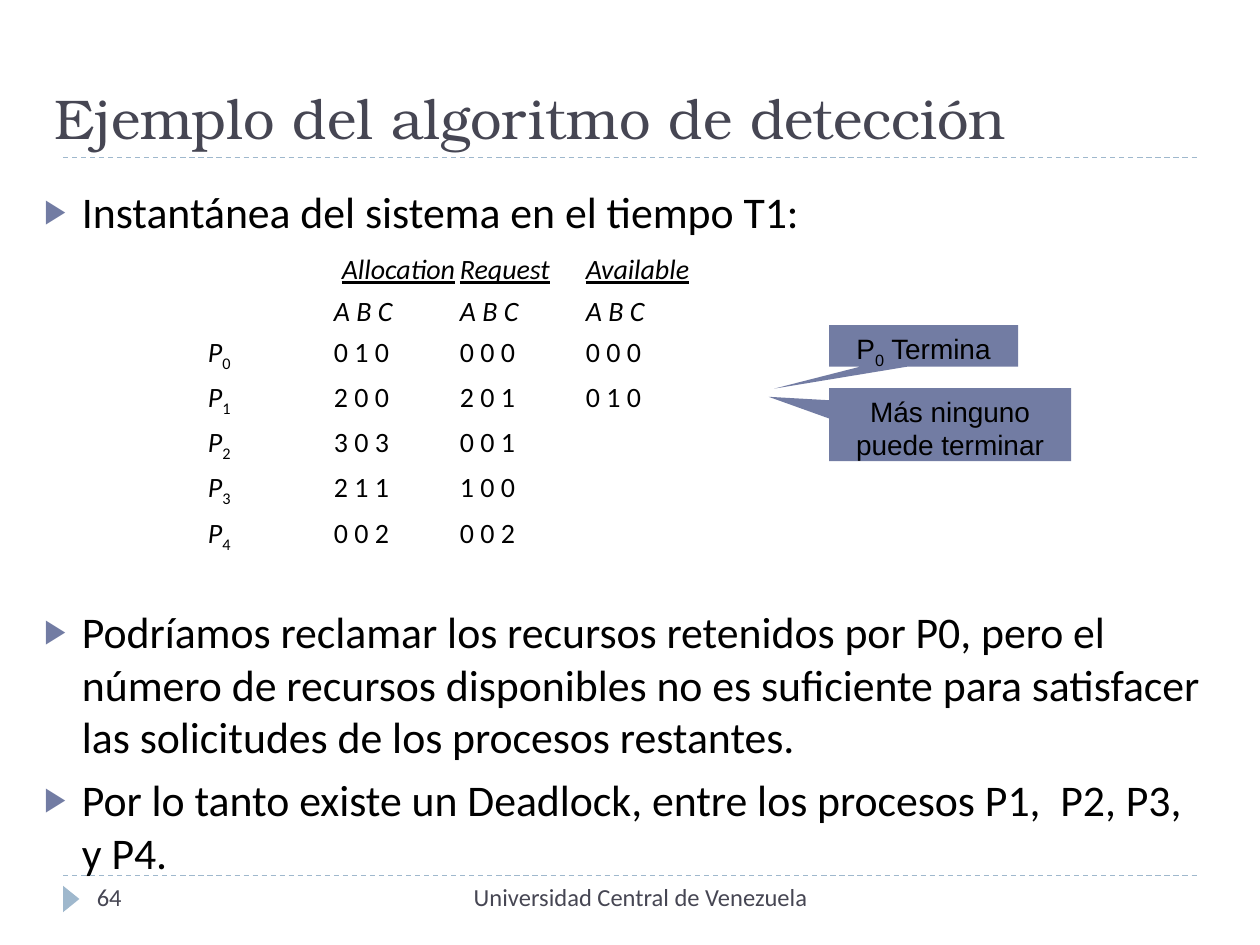
import pptx
import pptx.dml.color
import pptx.enum.dml
import pptx.enum.shapes
import pptx.enum.text
import pptx.oxml.ns
import pptx.util
from lxml import etree

Inches, Pt = pptx.util.Inches, pptx.util.Pt
ALIGN, ANCHOR = pptx.enum.text.PP_ALIGN, pptx.enum.text.MSO_ANCHOR
SHAPE = pptx.enum.shapes.MSO_SHAPE
INK, SLATE, ACCENT, PALE = "000000", "464653", "727CA3", "9FB8CD"

TITLE = "Ejemplo del algoritmo de detección"
INTRO = "Instantánea del sistema en el tiempo T1:"
HEADINGS = ["Allocation", "Request", "Available"]
RESOURCES = "A B C"
PROCESSES = [
    ("0 1 0", "0 0 0", "0 0 0"),
    ("2 0 0", "2 0 1", "0 1 0"),
    ("3 0 3", "0 0 1"),
    ("2 1 1", "1 0 0"),
    ("0 0 2", "0 0 2"),
]
CONCLUSIONS = [
    "Podríamos reclamar los recursos retenidos por P0, pero el número de recursos "
    "disponibles no es suficiente para satisfacer las solicitudes de los procesos restantes.",
    "Por lo tanto existe un Deadlock, entre los procesos P1,  P2, P3, y P4.",
]
SUBSCRIPT = {"baseline": -25}
CALLOUTS = [  # box, pointer, runs
    ((6.58, 2.58, 1.5, 0.33), (-0.79, 1.03),
     [("P", {}), ("0", SUBSCRIPT), (" Termina", {})]),
    ((6.58, 3.08, 1.92, 0.58), (-0.75, -0.38), [("Más ninguno puede terminar", {})]),
]
FOOTER = [  # box, text, alignment
    ((0.67, 6.95, 2.17, 0.4), "64", ALIGN.LEFT),
    ((3.17, 6.95, 3.83, 0.4), "Universidad Central de Venezuela", ALIGN.CENTER),
]
RULES = [1.25, 6.95]
MARGIN = 0.5
INDENT = 0.3
COLUMN = 1


def rgb(value):
    return pptx.dml.color.RGBColor.from_string(value)


def write(paragraph, text, size=16, font="Calibri", color=INK, italic=False,
          underline=False, baseline=0):
    run = paragraph.add_run()
    run.text = text
    run.font.size, run.font.name = Pt(size), font
    run.font.color.rgb = rgb(color)
    run.font.italic, run.font.underline = italic, underline
    if baseline:
        run.font._element.set("baseline", str(baseline * 1000))


def place(shape, box):
    shape.left, shape.top, shape.width, shape.height = map(Inches, box)


def frame(shape, anchor=ANCHOR.TOP):
    """Prepare the shape's text frame and return its first paragraph."""
    text_frame = shape.text_frame
    text_frame.word_wrap = True
    text_frame.auto_size = pptx.enum.text.MSO_AUTO_SIZE.NONE
    text_frame.vertical_anchor = anchor
    return text_frame.paragraphs[0]


def add_property(parent, tag, **attributes):
    child = etree.SubElement(parent, pptx.oxml.ns.qn(tag))
    for name, value in attributes.items():
        child.set(name, str(value))
    return child


def indent(paragraph, first_line):
    properties = paragraph._p.get_or_add_pPr()
    properties.set("marL", str(Inches(INDENT)))
    properties.set("indent", str(Inches(first_line)))
    properties.set("defTabSz", str(Inches(COLUMN)))
    return properties


def bullet(paragraph, text, space):
    properties = indent(paragraph, -INDENT)
    add_property(add_property(properties, "a:buClr"), "a:srgbClr", val=ACCENT)
    add_property(properties, "a:buSzPct", val=76000)
    add_property(properties, "a:buChar", char="▶")
    paragraph.space_before = Pt(space)
    write(paragraph, text, size=25)


def matrix_row(text_frame):
    paragraph = text_frame.add_paragraph()
    add_property(indent(paragraph, 0), "a:buNone")
    paragraph.space_before = Pt(4)
    return paragraph


def set_default_tabs(deck):
    """Space the master's body tabs one matrix column apart."""
    master = deck.slide_master._element
    for level in master.iterfind(".//" + pptx.oxml.ns.qn("p:bodyStyle") + "/*"):
        level.set("defTabSz", str(Inches(COLUMN)))


def add_solid(slide, kind, box, color):
    shape = slide.shapes.add_shape(kind, *map(Inches, box))
    shape.shadow.inherit = False
    shape.fill.solid()
    shape.fill.fore_color.rgb = rgb(color)
    shape.line.fill.background()
    return shape


def add_rule(slide, top):
    rule = slide.shapes.add_connector(
        pptx.enum.shapes.MSO_CONNECTOR.STRAIGHT,
        Inches(MARGIN), Inches(top), Inches(10 - MARGIN), Inches(top))
    rule.line.color.rgb = rgb(PALE)
    rule.line.width = Pt(0.75)
    rule.line.dash_style = pptx.enum.dml.MSO_LINE.DASH
    add_property(rule._element.spPr, "a:effectLst")


def fill_body(body):
    bullet(frame(body), INTRO, 0)
    text_frame = body.text_frame

    headings = matrix_row(text_frame)
    write(headings, "\t\t ", size=20)
    for number, heading in enumerate(HEADINGS):
        if number:
            write(headings, "\t")
        write(headings, heading, italic=True, underline=True)
    write(matrix_row(text_frame), "\t\t" + "\t".join([RESOURCES] * len(HEADINGS)), italic=True)

    for number, vectors in enumerate(PROCESSES):
        process = matrix_row(text_frame)
        write(process, "\t")
        write(process, "P", italic=True)
        write(process, str(number), **SUBSCRIPT)
        write(process, "\t" + "\t".join(vectors))

    for conclusion, space in zip(CONCLUSIONS, (29.5, 6)):
        bullet(text_frame.add_paragraph(), conclusion, space)


def main():
    deck = pptx.Presentation()
    deck.slide_width, deck.slide_height = Inches(10), Inches(7.5)
    set_default_tabs(deck)
    slide = deck.slides.add_slide(deck.slide_layouts[1])

    for top in RULES:
        add_rule(slide, top)
    marker = add_solid(slide, SHAPE.ISOSCELES_TRIANGLE, (0.46, 7.07, 0.21, 0.13), PALE)
    marker.rotation = 90
    for box, text, alignment in FOOTER:
        label = frame(slide.shapes.add_textbox(*map(Inches, box)))
        label.alignment = alignment
        write(label, text, size=14, color=SLATE)

    title, body = slide.placeholders
    place(title, (0.33, 0.25, 9.67, 1))
    heading = frame(title, ANCHOR.BOTTOM)
    heading.alignment = ALIGN.LEFT
    write(heading, TITLE, size=32, font="TeX Gyre Bonum", color=SLATE)
    place(body, (0.25, 1.42, 9.42, 5.33))
    fill_body(body)

    for box, pointer, runs in CALLOUTS:
        callout = add_solid(slide, SHAPE.RECTANGULAR_CALLOUT, box, ACCENT)
        callout.adjustments[0], callout.adjustments[1] = pointer
        message = frame(callout)
        message.alignment = ALIGN.CENTER
        for text, style in runs:
            write(message, text, font="Arial", **style)

    deck.save("out.pptx")


if __name__ == "__main__":
    main()
